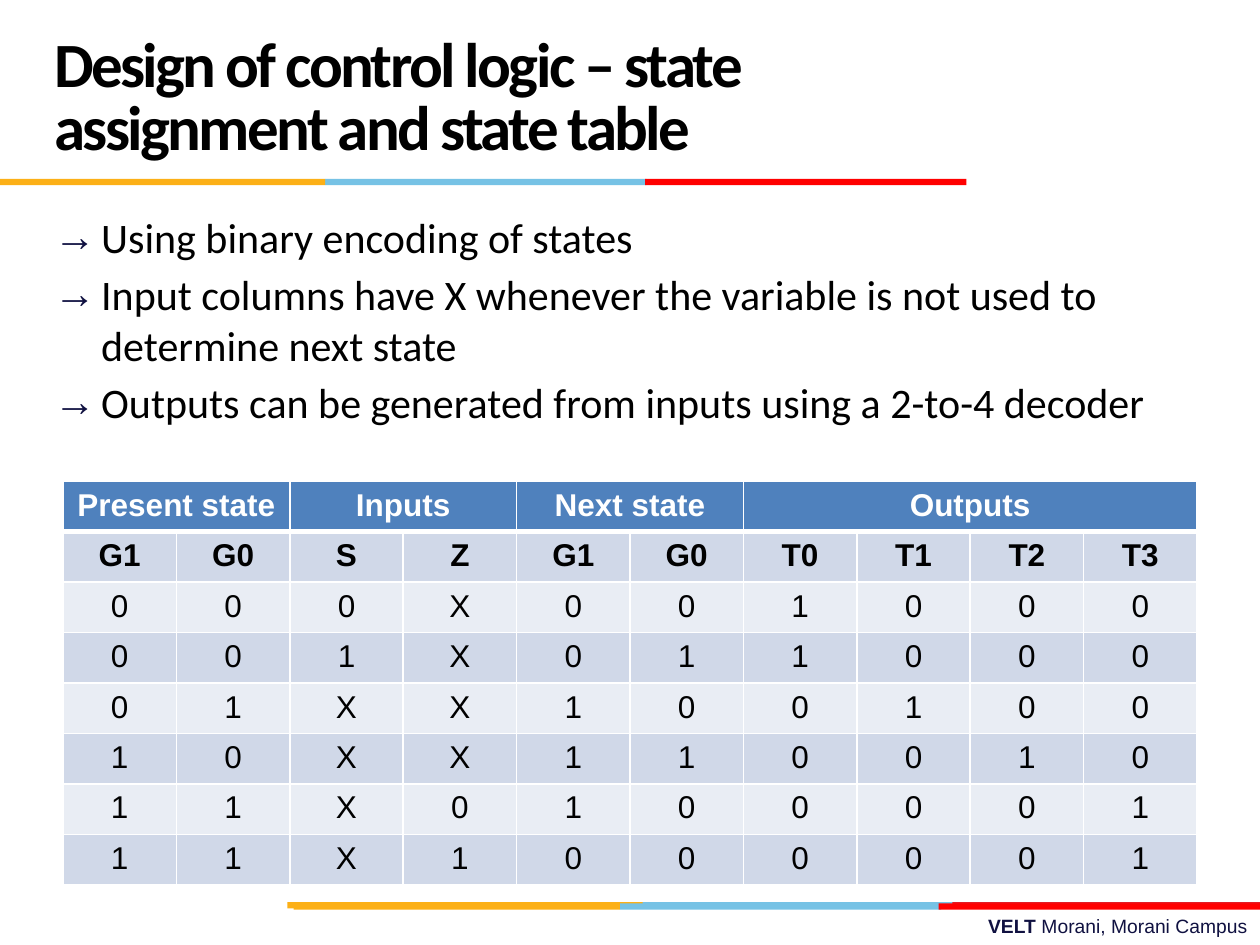
from dataclasses import dataclass

from lxml import etree
from pptx import Presentation
from pptx.dml.color import RGBColor
from pptx.enum.shapes import MSO_SHAPE
from pptx.enum.text import MSO_ANCHOR, MSO_AUTO_SIZE, PP_ALIGN
from pptx.oxml.ns import qn
from pptx.util import Pt

RECTANGLE = MSO_SHAPE.RECTANGLE
MIDDLE, TOP = MSO_ANCHOR.MIDDLE, MSO_ANCHOR.TOP
LEFT, CENTER, RIGHT = PP_ALIGN.LEFT, PP_ALIGN.CENTER, PP_ALIGN.RIGHT


@dataclass(frozen=True)
class Theme:
    heading_font: str = "Calibri"
    body_font: str = "Arial"
    black: str = "000000"
    white: str = "FFFFFF"
    navy: str = "101141"
    yellow: str = "FCB017"
    blue: str = "76C2E5"
    crimson: str = "E31C24"
    red: str = "FF0000"
    header_fill: str = "4F81BD"
    band_fills: tuple = ("E9EDF4", "D0D8E8")
    title_size: int = 36
    bullet_size: int = 24
    table_size: int = 18
    footer_size: int = 11


theme = Theme()


def write_text(paragraph, text, *, size, font=theme.body_font, color=theme.black,
               bold=False, align=LEFT, tracking=None):
    paragraph.alignment = align
    run = paragraph.add_run()
    run.text = text
    run.font.name = font
    run.font.size = Pt(size)
    run.font.bold = bold
    run.font.color.rgb = RGBColor.from_string(color)
    if tracking is not None:
        run._r.get_or_add_rPr().set("spc", str(int(tracking * 100)))


def add_border(cell, side, width):
    line = etree.SubElement(cell._tc.get_or_add_tcPr(), qn(f"a:ln{side}"), w=str(Pt(width)))
    fill = etree.SubElement(line, qn("a:solidFill"))
    etree.SubElement(fill, qn("a:srgbClr"), val=theme.white)


presentation = Presentation()
presentation.slide_width, presentation.slide_height = Pt(720), Pt(540)
slide = presentation.slides.add_slide(presentation.slide_layouts[5])

# Coloured stripes: left, top, width, colour
stripes = [
    (364.32, 515.5, 183.6, theme.blue),
    (544.32, 515.5, 175.68, theme.crimson),
    (164.16, 515.5, 203.04, theme.yellow),
    (354.24, 516.24, 183.6, theme.blue),
    (167.76, 516.24, 186.48, theme.yellow),
    (536.4, 516.24, 183.6, theme.red),
    (185.76, 102.24, 183.6, theme.blue),
    (0, 102.24, 185.76, theme.yellow),
    (368.64, 102.24, 183.6, theme.red),
]
for left, top, width, color in stripes:
    stripe = slide.shapes.add_shape(RECTANGLE, Pt(left), Pt(top), Pt(width), Pt(3.6))
    stripe.shadow.inherit = False
    stripe.fill.solid()
    stripe.fill.fore_color.rgb = RGBColor.from_string(color)
    stripe.line.fill.background()

# Footer
footer = slide.shapes.add_textbox(Pt(257.76), Pt(519.12), Pt(462.24), Pt(20.88))
footer.text_frame.word_wrap = True
for text, bold in (("VELT ", True), ("Morani, Morani Campus", False)):
    write_text(footer.text_frame.paragraphs[0], text, size=theme.footer_size,
               color=theme.navy, bold=bold, align=RIGHT)

# Title
title = slide.shapes.title
title.left, title.top, title.width, title.height = Pt(23.76), Pt(12.24), Pt(498.24), Pt(90)
title.text_frame.word_wrap = True
title.text_frame.auto_size = MSO_AUTO_SIZE.NONE
title.text_frame.vertical_anchor = MIDDLE
title_paragraph = title.text_frame.paragraphs[0]
title_paragraph.line_spacing = Pt(36)
write_text(title_paragraph, "Design of control logic – state assignment and state table",
           size=theme.title_size, font=theme.heading_font, bold=True, tracking=-1.5)

# State table
header_groups = [("Present state", 2), ("Inputs", 2), ("Next state", 2), ("Outputs", 4)]
header = [text for name, span in header_groups for text in [name] + [""] * (span - 1)]
rows = [header] + [line.split() for line in (
    "G1 G0 S Z G1 G0 T0 T1 T2 T3",
    "0 0 0 X 0 0 1 0 0 0",
    "0 0 1 X 0 1 1 0 0 0",
    "0 1 X X 1 0 0 1 0 0",
    "1 0 X X 1 1 0 0 1 0",
    "1 1 X 0 1 0 0 0 0 1",
    "1 1 X 1 0 0 0 0 0 1",
)]
table = slide.shapes.add_table(len(rows), len(header), Pt(36), Pt(275.04),
                               Pt(648), Pt(23.04 * len(rows))).table
for row_index, row in enumerate(rows):
    is_header = row_index == 0
    fill_color = theme.header_fill if is_header else theme.band_fills[row_index % 2]
    border_widths = {"L": 1, "R": 1, "T": 3 if row_index == 1 else 1, "B": 3 if is_header else 1}
    for column_index, text in enumerate(row):
        cell = table.cell(row_index, column_index)
        for side, width in border_widths.items():
            add_border(cell, side, width)
        cell.fill.solid()
        cell.fill.fore_color.rgb = RGBColor.from_string(fill_color)
        if text:
            write_text(cell.text_frame.paragraphs[0], text, size=theme.table_size,
                       color=theme.white if is_header else theme.black,
                       bold=row_index < 2, align=CENTER)

# Header cells span their columns
first_column = 0
for name, span in header_groups:
    table.cell(0, first_column).merge(table.cell(0, first_column + span - 1))
    first_column += span

# Bullets
bullets = [
    "Using binary encoding of states",
    "Input columns have X whenever the variable is not used to determine next state",
    "Outputs can be generated from inputs using a 2-to-4 decoder",
]
body = slide.shapes.add_textbox(Pt(23.76), Pt(117.36), Pt(648), Pt(356.4)).text_frame
body.word_wrap = True
body.vertical_anchor = TOP
for index, text in enumerate(bullets):
    paragraph = body.add_paragraph() if index else body.paragraphs[0]
    paragraph.space_before = Pt(4)
    write_text(paragraph, text, size=theme.bullet_size, font=theme.heading_font)
    properties = paragraph._p.get_or_add_pPr()
    properties.set("marL", str(Pt(27)))
    properties.set("indent", str(-Pt(27)))
    bullet_color = etree.SubElement(properties, qn("a:buClr"))
    etree.SubElement(bullet_color, qn("a:srgbClr"), val=theme.navy)
    etree.SubElement(properties, qn("a:buFont"), typeface=theme.body_font)
    etree.SubElement(properties, qn("a:buChar"), char="→")

presentation.save("out.pptx")
